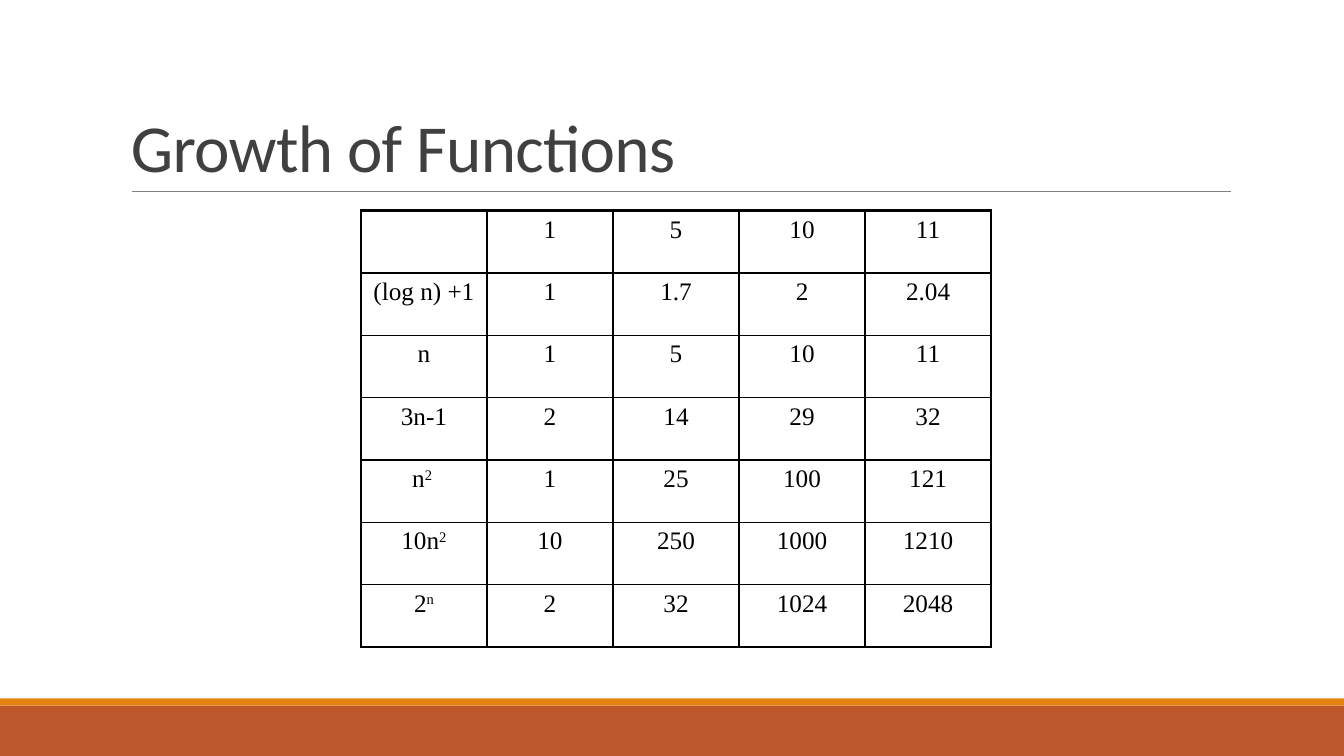
from dataclasses import dataclass

from lxml import etree
from pptx import Presentation
from pptx import util as u
from pptx.dml.color import RGBColor
from pptx.enum import shapes, text
from pptx.oxml.ns import qn


@dataclass(frozen=True)
class Theme:
    wide: float = 13.33
    high: float = 7.5
    rust: str = "BD582C"
    amber: str = "E48312"
    rule: str = "808080"
    head: str = "404040"
    ink: str = "000000"
    sans: str = "Calibri"
    serif: str = "Times New Roman"
    big: float = 48
    body: float = 18
    thin: float = 1
    thick: float = 2.25


T = Theme()

# A caret marks the start of a superscript
ROWS = [
    ["", "1", "5", "10", "11"],
    ["(log n) +1", "1", "1.7", "2", "2.04"],
    ["n", "1", "5", "10", "11"],
    ["3n-1", "2", "14", "29", "32"],
    ["n^2 ", "1", "25", "100", "121"],
    ["10n^2", "10", "250", "1000", "1210"],
    ["2^n", "2", "32", "1024", "2048"],
]


def inch(*sizes):
    return [u.Inches(s) for s in sizes]


def write(frame, words, font, size, color, align=text.PP_ALIGN.LEFT,
          lines=None, before=None, track=None):
    para = frame.paragraphs[0]
    para.alignment = align
    para.font.size = u.Pt(size)
    if lines:
        para.line_spacing = lines
    if before:
        gap = etree.SubElement(para._p.get_or_add_pPr(), qn("a:spcBef"))
        etree.SubElement(gap, qn("a:spcPct")).set("val", str(before * 1000))
        para._p.pPr.insert(0, gap)
    for level, part in enumerate(words.split("^")):
        run = para.add_run()
        run.text = part
        run.font.name = font
        run.font.size = u.Pt(size)
        run.font.color.rgb = RGBColor.from_string(color)
        props = run.font._element
        if level:
            props.set("baseline", "30000")
        if track:
            props.set("spc", str(int(track * 100)))


def band(slide, top, high, color):
    box = slide.shapes.add_shape(shapes.MSO_SHAPE.RECTANGLE,
                                 *inch(0, top, T.wide, high))
    box.shadow.inherit = False
    box.fill.solid()
    box.fill.fore_color.rgb = RGBColor.from_string(color)
    box.line.fill.background()


def rule(slide, left, right, top):
    line = slide.shapes.add_connector(shapes.MSO_CONNECTOR.STRAIGHT,
                                      *inch(left, top, right, top))
    line.line.color.rgb = RGBColor.from_string(T.rule)
    line.line.width = u.Pt(0.5)
    etree.SubElement(line._element.spPr, qn("a:effectLst"))


def title(slide, words):
    box = slide.shapes.add_textbox(*inch(1.2, 0.31, 11, 1.59))
    frame = box.text_frame
    frame.word_wrap = True
    frame.vertical_anchor = text.MSO_ANCHOR.BOTTOM
    write(frame, words, T.sans, T.big, T.head, lines=0.85, track=-0.5)


def edge(cell, side, width):
    line = etree.SubElement(cell._tc.get_or_add_tcPr(), qn("a:ln" + side))
    line.set("w", str(u.Pt(width)))
    fill = etree.SubElement(line, qn("a:solidFill"))
    etree.SubElement(fill, qn("a:srgbClr")).set("val", T.ink)


def grid(slide, rows, left, top, wide, high):
    down, across = len(rows), len(rows[0])
    table = slide.shapes.add_table(down, across,
                                   *inch(left, top, wide, high)).table
    table.first_row = table.horz_banding = False
    for r, row in enumerate(rows):
        for c, words in enumerate(row):
            cell = table.cell(r, c)
            write(cell.text_frame, words, T.serif, T.body, T.ink,
                  align=text.PP_ALIGN.CENTER, before=20)
            # Thick lines on the outside, thin ones within
            outer = {"L": c == 0, "R": c == across - 1,
                     "T": r == 0, "B": r == down - 1}
            for side, out in outer.items():
                edge(cell, side, T.thick if out else T.thin)
            cell.fill.background()


def main():
    deck = Presentation()
    deck.slide_width, deck.slide_height = inch(T.wide, T.high)
    slide = deck.slides.add_slide(deck.slide_layouts[6])
    # Footer bands
    band(slide, 7, 0.5, T.rust)
    band(slide, 6.93, 0.07, T.amber)
    # Heading
    rule(slide, 1.31, 12.21, 1.9)
    title(slide, "Growth of Functions")
    # Values by function and input size
    grid(slide, ROWS, 3.58, 2.09, 6.25, 4.33)
    deck.save("out.pptx")


if __name__ == "__main__":
    main()
